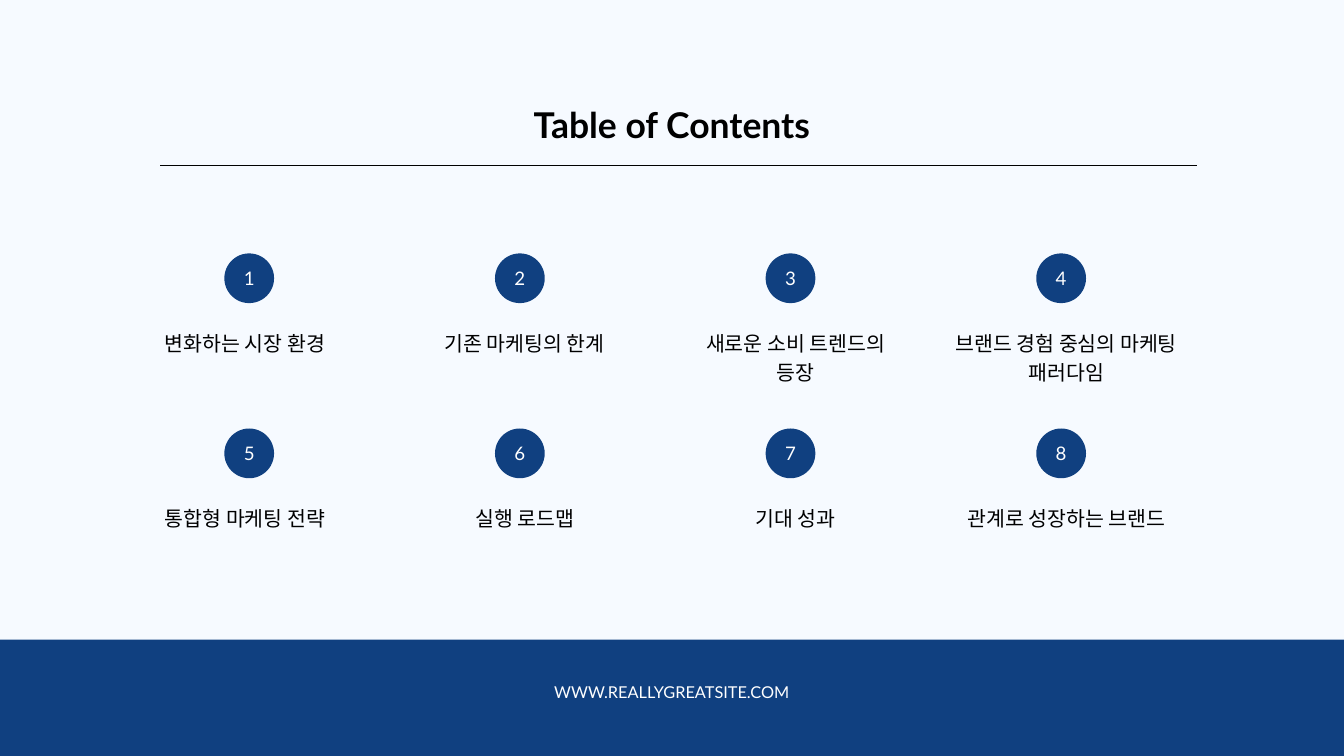
from pptx import Presentation
from pptx.dml.color import RGBColor
from pptx.enum.shapes import MSO_CONNECTOR, MSO_SHAPE
from pptx.enum.text import MSO_ANCHOR, PP_ALIGN
from pptx.oxml.ns import qn
from pptx.util import Cm, Pt
from lxml import etree

OVAL = MSO_SHAPE.OVAL
RECTANGLE = MSO_SHAPE.RECTANGLE
STRAIGHT = MSO_CONNECTOR.STRAIGHT
CENTER = PP_ALIGN.CENTER
MIDDLE = MSO_ANCHOR.MIDDLE

BACKGROUND = "F6FAFF"
NAVY = "104080"
BLACK = "000000"
WHITE = "FFFFFF"
LATIN_FONT = "Lato"
KOREAN_FONT = "Noto Sans CJK KR"

SLIDE_WIDTH, SLIDE_HEIGHT = 50.8, 28.58
FOOTER_TOP = 24.18
BADGE_SIZE = 1.88
FIRST_BADGE_CENTER, COLUMN_STEP = 9.42, 10.23
FIRST_BADGE_TOP, ROW_STEP = 9.58, 6.62
LABEL_DROP, LABEL_LINE_HEIGHT = 2.79, 1.05
LABEL_CENTERS = (9.26, 19.83, 30.07, 40.3)

CHAPTERS = (
    ("변화하는 시장 환경", 6.43),
    ("기존 마케팅의 한계", 6.43),
    ("새로운 소비 트렌드의\n등장", 7.16),
    ("브랜드 경험 중심의 마케팅\n패러다임", 8.89),
    ("통합형 마케팅 전략", 6.43),
    ("실행 로드맵", 3.96),
    ("기대 성과", 3.2),
    ("관계로 성장하는 브랜드", 7.92),
)


def color(hex_value):
    """Turn a hex string into a colour."""
    return RGBColor.from_string(hex_value)


def write(frame, text, font, size, spacing, hex_value, bold=False):
    """Fill a text frame with centred text without margins."""
    frame.word_wrap = True
    frame.margin_left = frame.margin_right = 0
    frame.margin_top = frame.margin_bottom = 0
    frame.text = text
    for paragraph in frame.paragraphs:
        paragraph.alignment = CENTER
        paragraph.line_spacing = Pt(spacing)
        for run in paragraph.runs:
            run.font.name = font
            run.font.size = Pt(size)
            run.font.bold = bold
            run.font.color.rgb = color(hex_value)
            properties = run.font._element
            east_asian = etree.SubElement(properties, qn("a:ea"))
            east_asian.set("typeface", font)


def add_text(slide, center, top, width, height, *style, bold=False):
    """Add a text box centred on a horizontal position."""
    box = slide.shapes.add_textbox(
        Cm(center - width / 2), Cm(top), Cm(width), Cm(height))
    write(box.text_frame, *style, bold=bold)


def add_block(slide, kind, left, top, width, height):
    """Add a navy shape without outline or shadow."""
    block = slide.shapes.add_shape(
        kind, Cm(left), Cm(top), Cm(width), Cm(height))
    block.shadow.inherit = False
    block.fill.solid()
    block.fill.fore_color.rgb = color(NAVY)
    block.line.fill.background()
    return block


def add_rule(slide, left, right, y):
    """Add the thin horizontal line below the title."""
    rule = slide.shapes.add_connector(
        STRAIGHT, Cm(left), Cm(y), Cm(right), Cm(y))
    rule.line.color.rgb = color(BLACK)
    rule.line.width = Pt(0.75)
    etree.SubElement(rule._element.spPr, qn("a:effectLst"))


def add_chapter(slide, index, label, label_width):
    """Add a numbered badge and its label in the four-column grid."""
    row, column = divmod(index, len(LABEL_CENTERS))
    badge_left = FIRST_BADGE_CENTER + column * COLUMN_STEP - BADGE_SIZE / 2
    badge_top = FIRST_BADGE_TOP + row * ROW_STEP
    badge = add_block(
        slide, OVAL, badge_left, badge_top, BADGE_SIZE, BADGE_SIZE)
    number = badge.text_frame
    write(number, str(index + 1), LATIN_FONT, 20, 28, WHITE)
    number.vertical_anchor = MIDDLE
    number.margin_bottom = Cm(0.15)
    label_height = LABEL_LINE_HEIGHT * len(label.split("\n"))
    add_text(slide, LABEL_CENTERS[column], badge_top + LABEL_DROP,
             label_width, label_height, label, KOREAN_FONT, 22, 30.8, BLACK)


def main():
    """Build the table of contents slide."""
    presentation = Presentation()
    presentation.slide_width = Cm(SLIDE_WIDTH)
    presentation.slide_height = Cm(SLIDE_HEIGHT)
    slide = presentation.slides.add_slide(presentation.slide_layouts[6])
    slide.background.fill.solid()
    slide.background.fill.fore_color.rgb = color(BACKGROUND)

    middle = SLIDE_WIDTH / 2
    add_text(slide, middle, 3.63, 12.9, 1.8, "Table of Contents",
             LATIN_FONT, 38, 53.2, BLACK, bold=True)
    add_rule(slide, 6.05, 45.26, 6.25)
    for index, (label, label_width) in enumerate(CHAPTERS):
        add_chapter(slide, index, label, label_width)
    add_block(slide, RECTANGLE, 0, FOOTER_TOP,
              SLIDE_WIDTH, SLIDE_HEIGHT - FOOTER_TOP)
    add_text(slide, middle, 25.68, 9.58, 0.81, "WWW.REALLYGREATSITE.COM",
             LATIN_FONT, 17.5, 24.5, WHITE)
    presentation.save("out.pptx")


if __name__ == "__main__":
    main()
